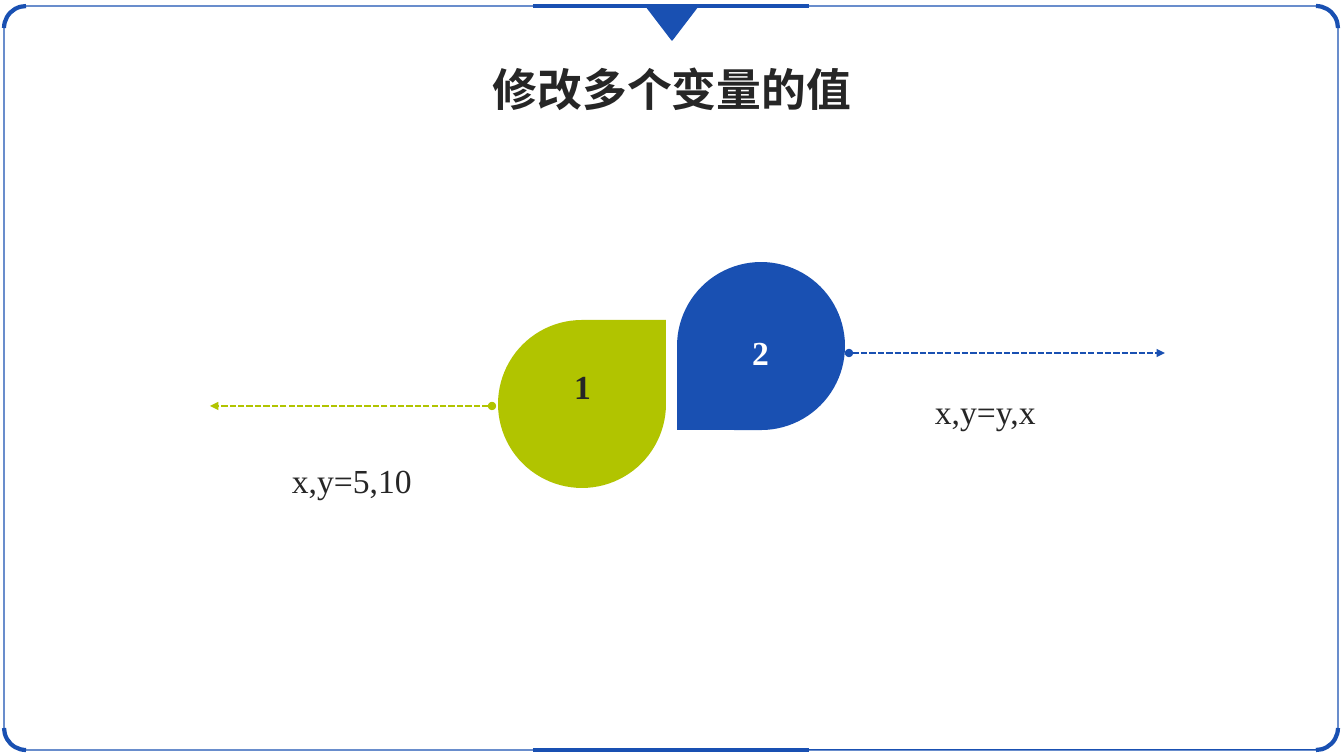
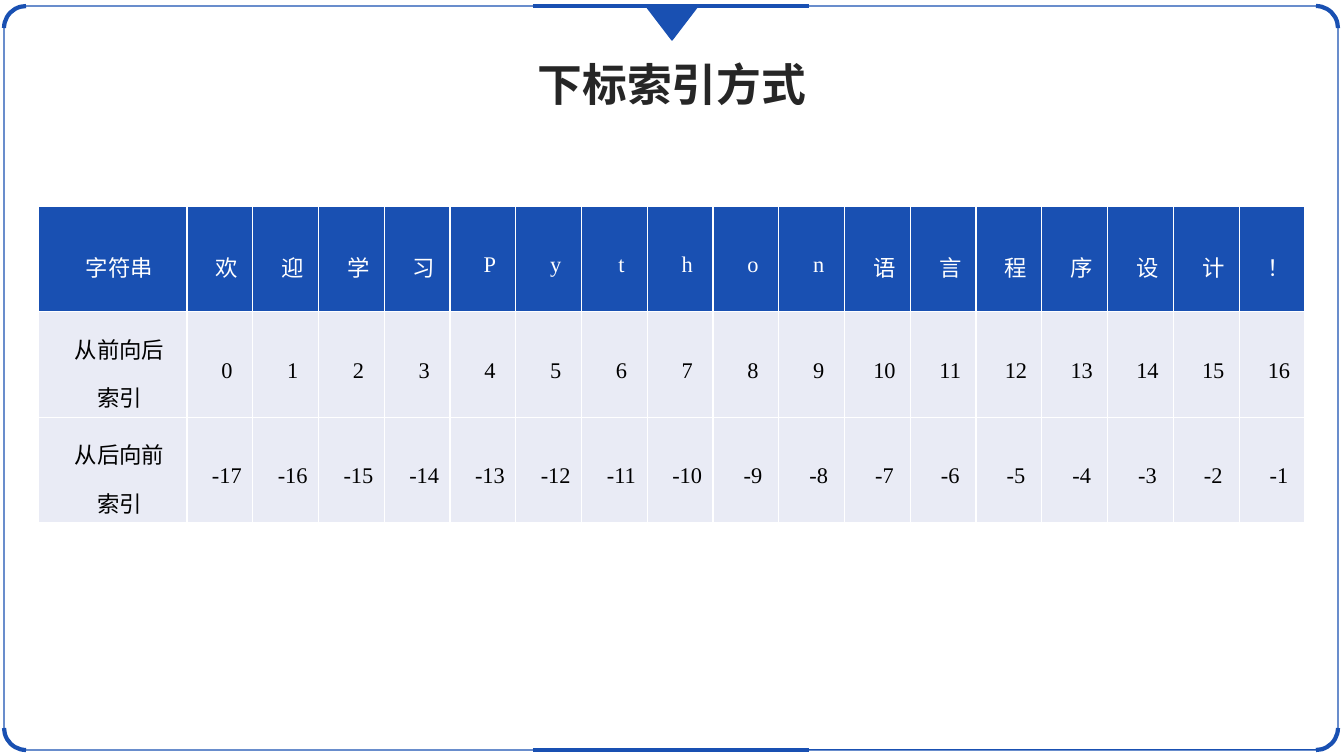
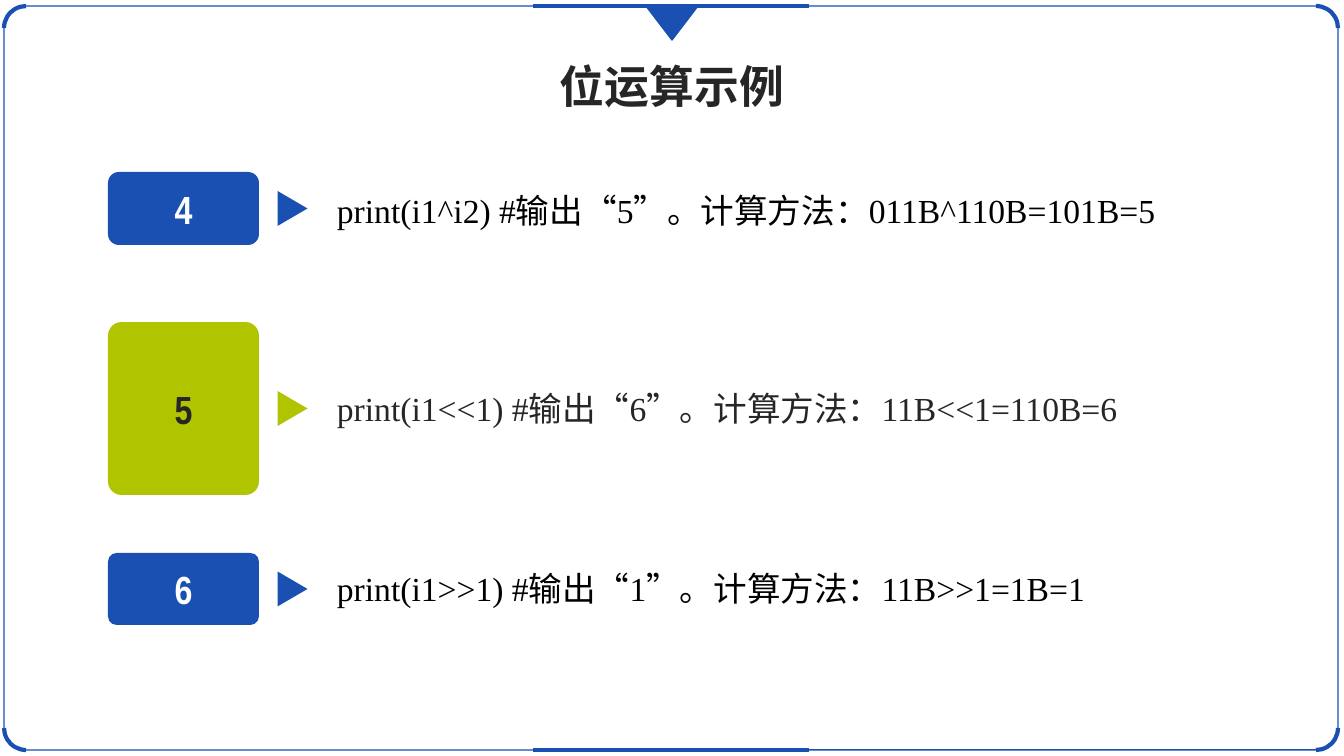
from dataclasses import dataclass

from pptx import Presentation
from pptx.dml.color import RGBColor
from pptx.enum.dml import MSO_LINE
from pptx.enum.shapes import MSO_CONNECTOR, MSO_SHAPE
from pptx.enum.text import MSO_ANCHOR, MSO_AUTO_SIZE, PP_ALIGN
from pptx.oxml.ns import qn
from pptx.util import Emu, Pt
from lxml.etree import SubElement


@dataclass(frozen=True)
class Theme:
    blue: str = "1950B2"
    lime: str = "B1C400"
    ink: str = "262626"
    black: str = "000000"
    white: str = "FFFFFF"
    pale: str = "E9EBF5"
    serif: str = "Times New Roman"
    sans: str = "Noto Sans CJK SC"
    narrow: str = "Arial Narrow"
    title: int = 32
    label: int = 28
    body: int = 24
    cell: int = 16


T = Theme()
SCALE = 914400 / 100.8  # EMU in one px
WIDE, HIGH = 1344, 756
MID = WIDE // 2

# Content: title, its top and its font
SWAP = ("修改多个变量的值", 57, T.serif)
INDEX = ("下标索引方式", 52, T.sans)
BITS = ("位运算示例", 54, T.sans)

# Number, fill, ink, drop (left, top, turn), number place, arrow (x1, x2, y), text, text box
DROPS = [
    ("1", T.lime, T.ink, (498, 320, 0), (564, 361), (492, 210, 406),
     "x,y=5,10", (282, 455, 358, 50)),
    ("2", T.blue, T.white, (677, 262, 180), (742, 327), (849, 1165, 353),
     "x,y=y,x", (925, 386, 354, 50)),
]

CHARS = "欢迎学习Python语言程序设计！"
COUNT = len(CHARS)
ROWS = [
    (["字符串"], list(CHARS)),
    (["从前向后", "索引"], [str(i) for i in range(COUNT)]),
    (["从后向前", "索引"], [str(i - COUNT) for i in range(COUNT)]),
]

# Number, fill, number ink, text ink, top, height, corner, text top, code, result
STEPS = [
    ("4", T.blue, T.white, T.black, 172, 73, 11, 185,
     "print(i1^i2) #输出“5", "。计算方法：011B^110B=101B=5"),
    ("5", T.lime, T.ink, T.ink, 322, 173, 13, 383,
     "print(i1<<1) #输出“6", "。计算方法：11B<<1=110B=6"),
    ("6", T.blue, T.white, T.black, 553, 72, 9, 563,
     "print(i1>>1) #输出“1", "。计算方法：11B>>1=1B=1"),
]


# Helpers
def px(n):
    return Emu(round(n * SCALE))


def rgb(code):
    return RGBColor.from_string(code)


def add_run(para, text, size, color, font=T.serif, bold=False):
    run = para.add_run()
    run.text = text
    run.font.size = Pt(size)
    run.font.bold = bold
    run.font.color.rgb = rgb(color)
    run.font.name = font
    SubElement(run.font._element, qn("a:ea")).set("typeface", T.sans)


def add_text(slide, box, runs, align=PP_ALIGN.LEFT, wrap=True, anchor=MSO_ANCHOR.TOP):
    frame = slide.shapes.add_textbox(*map(px, box)).text_frame
    frame.word_wrap = wrap
    frame.auto_size = MSO_AUTO_SIZE.SHAPE_TO_FIT_TEXT
    frame.vertical_anchor = anchor
    para = frame.paragraphs[0]
    para.alignment = align
    for run in runs:
        add_run(para, *run)


def add_form(slide, kind, box, fill=None, line=None, width=1, turn=0):
    form = slide.shapes.add_shape(kind, *map(px, box))
    form.shadow.inherit = False
    form.rotation = turn
    if fill:
        form.fill.solid()
        form.fill.fore_color.rgb = rgb(fill)
    else:
        form.fill.background()
    if line:
        form.line.color.rgb = rgb(line)
        form.line.width = Pt(width)
    else:
        form.line.fill.background()
    return form


def add_line(slide, start, end, color, width, arrow=False):
    link = slide.shapes.add_connector(
        MSO_CONNECTOR.STRAIGHT, *map(px, (*start, *end)))
    link.line.color.rgb = rgb(color)
    link.line.width = Pt(width)
    if arrow:
        link.line.dash_style = MSO_LINE.SQUARE_DOT
        stroke = link.line._get_or_add_ln()
        SubElement(stroke, qn("a:headEnd")).set("type", "oval")
        SubElement(stroke, qn("a:tailEnd")).set("type", "triangle")
    SubElement(link.element.spPr, qn("a:effectLst"))


# Shared frame and title
def add_frame(slide):
    left, top, right, low, arc = 4, 6, 1338, 750, 44
    edge = add_form(slide, MSO_SHAPE.ROUNDED_RECTANGLE,
                    (left, top, right - left, low - top), line=T.blue)
    edge.adjustments[0] = 0.03
    for x, y, turn in [(left, top, 270), (left, low - arc, 180),
                       (right - arc, top, 0), (right - arc, low - arc, 90)]:
        add_form(slide, MSO_SHAPE.ARC, (x, y, arc, arc),
                 line=T.blue, width=3, turn=turn)
    for y in (top, low):
        add_line(slide, (MID - 139, y), (MID + 137, y), T.blue, 3)
    add_form(slide, MSO_SHAPE.ISOSCELES_TRIANGLE, (MID - 26, top, 52, 34),
             T.blue, T.blue, turn=180)


def new_slide(deck, title, top, font):
    slide = deck.slides.add_slide(deck.slide_layouts[6])
    add_frame(slide)
    add_text(slide, (MID - 190, top, 380, 65),
             [(title, T.title, T.ink, font, True)], PP_ALIGN.CENTER, wrap=False)
    return slide


# Slide 1: two drops with arrows
def swap_slide(deck):
    slide = new_slide(deck, *SWAP)
    for num, fill, ink, (x, y, turn), spot, (x1, x2, line), text, box in DROPS:
        add_form(slide, MSO_SHAPE.TEAR, (x, y, 168, 168), fill, turn=turn)
        add_text(slide, (*spot, 37, 50), [(num, T.body, ink, T.serif, True)],
                 PP_ALIGN.CENTER, wrap=False)
        add_line(slide, (x1, line), (x2, line), fill, 1.5, arrow=True)
        add_text(slide, box, [(text, T.body, T.ink)])


# Slide 2: index table
def fill_cell(cell, lines, fill, ink):
    cell.margin_left = cell.margin_right = px(7)
    cell.margin_top = cell.margin_bottom = 0
    cell.vertical_anchor = MSO_ANCHOR.MIDDLE
    props = cell._tc.get_or_add_tcPr()
    for side in ("lnL", "lnR", "lnT", "lnB"):
        edge = SubElement(props, qn(f"a:{side}"), w=str(Pt(1)))
        paint = SubElement(edge, qn("a:solidFill"))
        SubElement(paint, qn("a:srgbClr"), val=T.white)
    cell.fill.solid()
    cell.fill.fore_color.rgb = rgb(fill)
    for i, line in enumerate(lines):
        frame = cell.text_frame
        para = frame.add_paragraph() if i else frame.paragraphs[0]
        para.alignment = PP_ALIGN.CENTER
        para.line_spacing = 1.5
        para._p.get_or_add_pPr().set("indent", str(px(14)))
        add_run(para, line, T.cell, ink)


def index_slide(deck):
    slide = new_slide(deck, *INDEX)
    left, top, width, height, first = 38, 206, 1267, 317, 149
    table = slide.shapes.add_table(
        len(ROWS), COUNT + 1, *map(px, (left, top, width, height))).table
    table.first_row = table.horz_banding = False
    for i, col in enumerate(table.columns):
        col.width = px((width - first) / COUNT if i else first)
    for r, (head, values) in enumerate(ROWS):
        table.rows[r].height = px(height / len(ROWS))
        fill, ink = (T.pale, T.black) if r else (T.blue, T.white)
        for c, lines in enumerate([head] + [[v] for v in values]):
            fill_cell(table.cell(r, c), lines, fill, ink)


# Slide 3: numbered steps
def bits_slide(deck):
    slide = new_slide(deck, *BITS)
    wide = 151
    for num, fill, mark, ink, top, high, curve, text, code, result in STEPS:
        box = add_form(slide, MSO_SHAPE.ROUNDED_RECTANGLE,
                       (108, top, wide, high), fill)
        box.adjustments[0] = round(curve / min(wide, high), 2)
        box.text_frame.vertical_anchor = MSO_ANCHOR.MIDDLE
        para = box.text_frame.paragraphs[0]
        para.alignment = PP_ALIGN.CENTER
        add_run(para, num, T.label, mark, T.narrow, True)
        add_form(slide, MSO_SHAPE.ISOSCELES_TRIANGLE,
                 (275, top + high / 2 - 15, 35, 30), fill, turn=90)
        add_text(slide, (327, text, 957, 50),
                 [(code, T.body, ink), ("”", T.body, ink, T.sans),
                  (result, T.body, ink)], anchor=MSO_ANCHOR.MIDDLE)


def main():
    deck = Presentation()
    deck.slide_width, deck.slide_height = px(WIDE), px(HIGH)
    for build in (swap_slide, index_slide, bits_slide):
        build(deck)
    deck.save("out.pptx")


if __name__ == "__main__":
    main()
